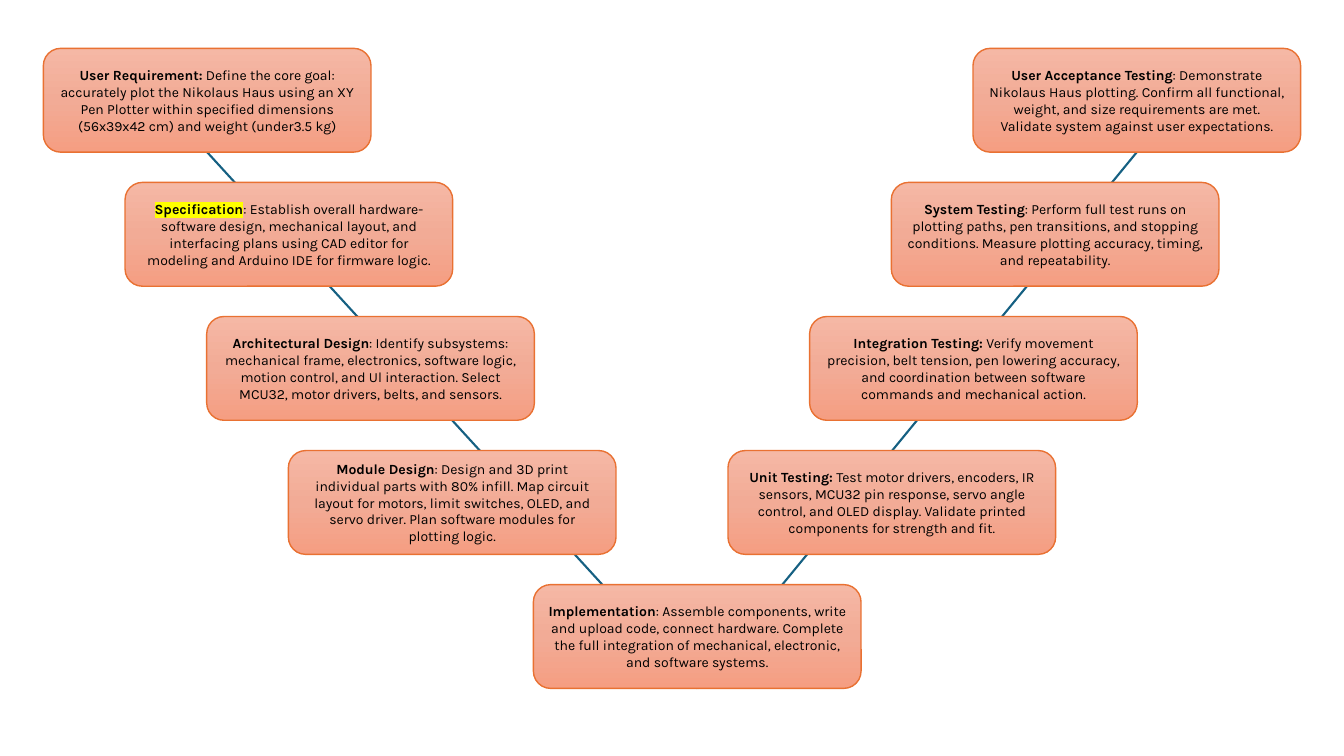
from copy import deepcopy

from pptx import Presentation
from pptx import util as u
from pptx.dml.color import RGBColor
from pptx.enum import shapes, text
from pptx.oxml import parse_xml
from pptx.oxml.ns import nsdecls

BLACK = RGBColor(0x00, 0x00, 0x00)
BLUE = RGBColor(0x15, 0x60, 0x82)
ORANGE = RGBColor(0xE9, 0x71, 0x32)
PEACH = (
    (0, RGBColor(0xF5, 0xB8, 0xA5)),
    (0.5, RGBColor(0xF2, 0xAB, 0x96)),
    (1, RGBColor(0xF5, 0x9E, 0x82)),
)
YELLOW = RGBColor(0xFF, 0xFF, 0x00)

WIDTH, HEIGHT = 13.33, 7.5
BOX_W, BOX_H = 3.25, 1.03
LEFT, TOP = 0.43, 0.48
STEP_X, STEP_Y = 0.81, 1.33
BASE_X = 5.29

DESIGN = [
    ("User Requirement:",
     " Define the core goal: accurately plot the Nikolaus Haus using an XY Pen "
     "Plotter within specified dimensions (56x39x42 cm) and weight (under3.5 kg)"),
    ("Specification",
     ": Establish overall hardware-software design, mechanical layout, and "
     "interfacing plans using CAD editor for modeling and Arduino IDE for "
     "firmware logic."),
    ("Architectural Design",
     ": Identify subsystems: mechanical frame, electronics, software logic, "
     "motion control, and Ul interaction. Select MCU32, motor drivers, belts, "
     "and sensors."),
    ("Module Design",
     ": Design and 3D print individual parts with 80% infill. Map circuit layout "
     "for motors, limit switches, OLED, and servo driver. Plan software modules "
     "for plotting logic."),
]
TESTS = [
    ("User Acceptance Testing",
     ": Demonstrate Nikolaus Haus plotting. Confirm all functional, weight, and "
     "size requirements are met. Validate system against user expectations."),
    ("System Testing",
     ": Perform full test runs on plotting paths, pen transitions, and stopping "
     "conditions. Measure plotting accuracy, timing, and repeatability."),
    ("Integration Testing: ",
     "Verify movement precision, belt tension, pen lowering accuracy, and "
     "coordination between software commands and mechanical action."),
    ("Unit Testing: ",
     "Test motor drivers, encoders, IR sensors, MCU32 pin response, servo angle "
     "control, and OLED display. Validate printed components for strength and "
     "fit."),
]
BUILD = (
    "Implementation",
    ": Assemble components, write and upload code, connect hardware. Complete the "
    "full integration of mechanical, electronic, and software systems.")
MARKED = "Specification"


def add_run(para, words, bold):
    run = para.add_run()
    run.text = words
    font = run.font
    font.name, font.size, font.bold = "Karla", u.Pt(10), bold
    font.color.rgb = BLACK
    if words == MARKED:
        mark = parse_xml(f'<a:highlight {nsdecls("a")}>'
                         f'<a:srgbClr val="{YELLOW}"/></a:highlight>')
        run._r.rPr.xpath("a:solidFill")[0].addnext(mark)


def add_stage(slide, x, y, stage):
    """Place one rounded box holding a bold name and its details."""
    box = slide.shapes.add_shape(
        shapes.MSO_SHAPE.ROUNDED_RECTANGLE,
        u.Inches(x), u.Inches(y), u.Inches(BOX_W), u.Inches(BOX_H))
    box.shadow.inherit = False
    box.line.color.rgb = ORANGE
    box.line.width = u.Pt(1)
    box.fill.gradient()
    box.fill.gradient_angle = 270
    first = box._element.spPr.xpath(".//a:gs")[0]
    first.addnext(deepcopy(first))
    for stop, (place, color) in zip(box.fill.gradient_stops, PEACH):
        stop.position = place
        stop.color.rgb = color
    frame = box.text_frame
    frame.word_wrap = True
    frame.vertical_anchor = text.MSO_ANCHOR.MIDDLE
    para = frame.paragraphs[0]
    para.alignment = text.PP_ALIGN.CENTER
    name, details = stage
    add_run(para, name, True)
    add_run(para, details, False)


def add_arm(slide, x, base_y):
    """Draw a line from under the top box at x to under the base box."""
    half = BOX_W / 2
    line = slide.shapes.add_connector(
        shapes.MSO_CONNECTOR.STRAIGHT,
        u.Inches(x + half), u.Inches(TOP + BOX_H),
        u.Inches(BASE_X + half), u.Inches(base_y + BOX_H))
    line.line.color.rgb = BLUE
    line.line.width = u.Pt(1.5)
    line._element.spPr.append(parse_xml(f'<a:effectLst {nsdecls("a")}/>'))


def add_side(slide, x, step, stages):
    for row, stage in enumerate(stages):
        add_stage(slide, x + row * step, TOP + row * STEP_Y, stage)


def add_model(slide):
    """Draw the V: design down the left, tests up the right, build at the base."""
    right = WIDTH - LEFT - BOX_W
    base_y = TOP + len(DESIGN) * STEP_Y
    for x in (LEFT, right):
        add_arm(slide, x, base_y)
    add_side(slide, LEFT, STEP_X, DESIGN)
    add_side(slide, right, -STEP_X, TESTS)
    add_stage(slide, BASE_X, base_y, BUILD)


def main():
    deck = Presentation()
    deck.slide_width, deck.slide_height = u.Inches(WIDTH), u.Inches(HEIGHT)
    add_model(deck.slides.add_slide(deck.slide_layouts[6]))
    deck.save("out.pptx")


if __name__ == "__main__":
    main()
